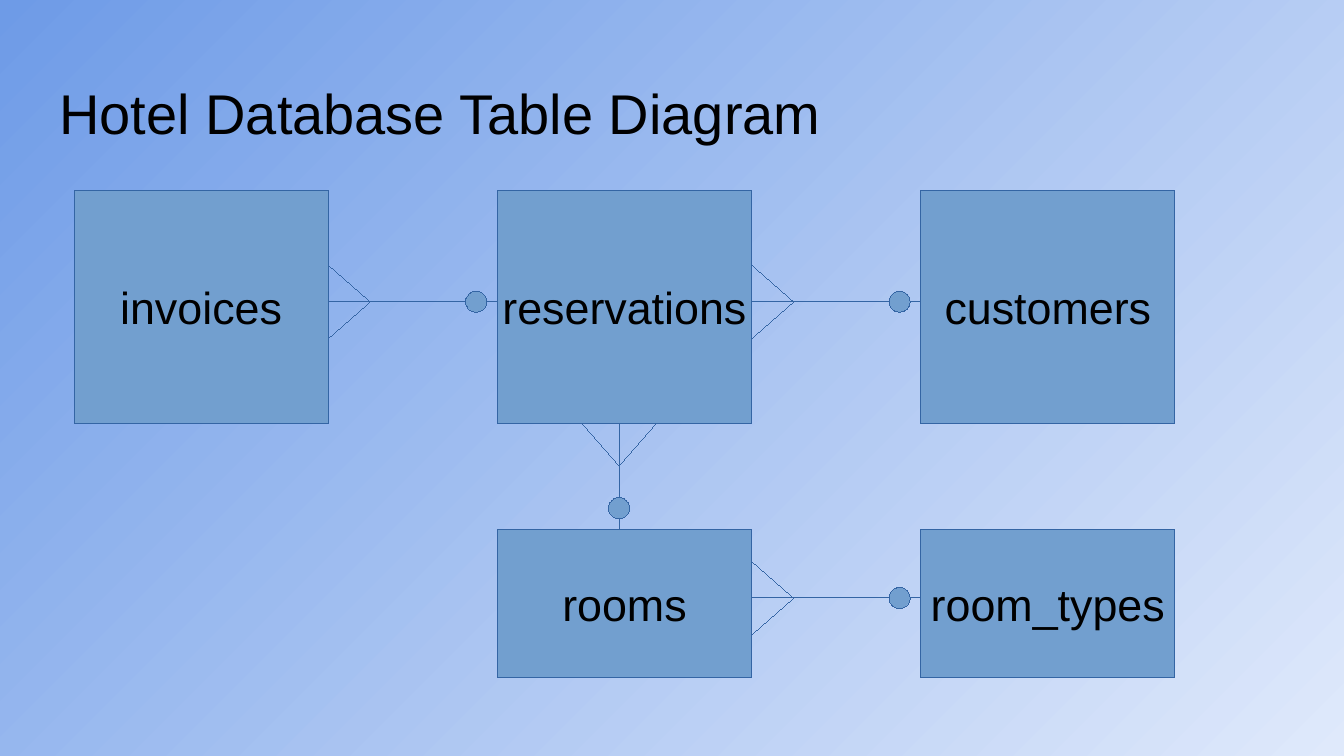
from pptx import Presentation
from pptx.dml.color import RGBColor
from pptx.enum.shapes import MSO_CONNECTOR as Connector, MSO_SHAPE as Shape
from pptx.enum.text import MSO_ANCHOR as Anchor, PP_ALIGN as Align
from pptx.oxml.ns import qn
from pptx.util import Inches, Pt
from lxml.etree import SubElement

BLACK = RGBColor(0x00, 0x00, 0x00)
FILL = RGBColor(0x72, 0x9F, 0xCF)
EDGE = RGBColor(0x34, 0x65, 0xA4)
PALE = RGBColor(0xDF, 0xE9, 0xFB)
DEEP = RGBColor(0x6E, 0x9B, 0xE7)
HAIRLINE = Pt(0.01)

# The slide is 16:9; lengths below are in grid units.
SLIDE_WIDTH = Inches(10)
SLIDE_HEIGHT = SLIDE_WIDTH * 9 // 16
UNIT = Inches(0.315)
LEFT, TOP = 1.75, 4.5
COLUMN_STEP, ROW_STEP = 10, 8
BOX_WIDTH, ROW_HEIGHTS = 6, (5.5, 3.5)
FOOT_LENGTH, FOOT_SPREAD = 1, 0.875
DOT_SIZE, DOT_GAP = 0.5, 0.5
TITLE_AREA = (1.09, 1.54, 29.58, 2)

TABLES = [
    ("invoices", 0, 0),
    ("reservations", 1, 0),
    ("customers", 2, 0),
    ("rooms", 1, 1),
    ("room_types", 2, 1),
]
# Column, row and distance below the top of the box, for links to the right
SIDE_LINKS = [(0, 0, 2.625), (1, 0, 2.625), (1, 1, 1.625)]
DOWN_LINK_OFFSET = 2.875


def grid(*units):
    return [round(unit * UNIT) for unit in units]


def corner(column, row):
    return LEFT + column * COLUMN_STEP, TOP + row * ROW_STEP


def set_format(target, values):
    for name, value in values.items():
        setattr(target, name, value)


def set_line(line):
    line.color.rgb = EDGE
    line.width = HAIRLINE


def write(frame, text, size, layout, align):
    set_format(frame, layout)
    para = frame.paragraphs[0]
    para.alignment = align
    span = para.add_run()
    span.text = text
    set_format(span.font, {"name": "Arial", "size": Pt(size)})
    span.font.color.rgb = BLACK


def add_background(page):
    fill = page.background.fill
    fill.gradient()
    fill.gradient_angle = 135
    for stop, color in zip(fill.gradient_stops, (PALE, DEEP)):
        stop.color.rgb = color


def add_title(page, text):
    box = page.shapes.add_textbox(*grid(*TITLE_AREA))
    margins = {f"margin_{side}": Inches(0.1)
               for side in ("left", "top", "right", "bottom")}
    write(box.text_frame, text, 30,
          {"word_wrap": True, "vertical_anchor": Anchor.TOP, **margins},
          Align.LEFT)


def add_filled(shapes, kind, left, top, width, height):
    shape = shapes.add_shape(kind, *grid(left, top, width, height))
    shape.shadow.inherit = False
    shape.fill.solid()
    shape.fill.fore_color.rgb = FILL
    set_line(shape.line)
    return shape


def add_table_box(page, name, column, row):
    box = add_filled(page.shapes, Shape.RECTANGLE, *corner(column, row),
                     BOX_WIDTH, ROW_HEIGHTS[row])
    write(box.text_frame, name, 24,
          {"word_wrap": False, "vertical_anchor": Anchor.MIDDLE},
          Align.CENTER)


def add_stroke(shapes, start, end):
    stroke = shapes.add_connector(Connector.STRAIGHT, *grid(*start, *end))
    set_line(stroke.line)
    SubElement(stroke._element.spPr, qn("a:effectLst"))


def add_link(page, x, y, length, down=False):
    """Draw a many-to-one link: a crow's foot at (x, y), a dot near the end."""
    shapes = page.shapes.add_group_shape().shapes

    def point(along, across=0):
        return (x + across, y + along) if down else (x + along, y + across)

    add_stroke(shapes, point(0), point(length))
    for spread in (-FOOT_SPREAD, FOOT_SPREAD):
        add_stroke(shapes, point(0, spread), point(FOOT_LENGTH))
    center_x, center_y = point(length - DOT_GAP)
    add_filled(shapes, Shape.OVAL, center_x - DOT_SIZE / 2,
               center_y - DOT_SIZE / 2, DOT_SIZE, DOT_SIZE)


def main():
    deck = Presentation()
    set_format(deck, {"slide_width": SLIDE_WIDTH, "slide_height": SLIDE_HEIGHT})
    page = deck.slides.add_slide(deck.slide_layouts[6])
    add_background(page)
    add_title(page, "Hotel Database Table Diagram")
    for name, column, row in TABLES:
        add_table_box(page, name, column, row)
    for column, row, offset in SIDE_LINKS:
        left, top = corner(column, row)
        add_link(page, left + BOX_WIDTH, top + offset, COLUMN_STEP - BOX_WIDTH)
    left, top = corner(1, 0)
    add_link(page, left + DOWN_LINK_OFFSET, top + ROW_HEIGHTS[0],
             ROW_STEP - ROW_HEIGHTS[0], down=True)
    deck.save("out.pptx")


if __name__ == "__main__":
    main()
